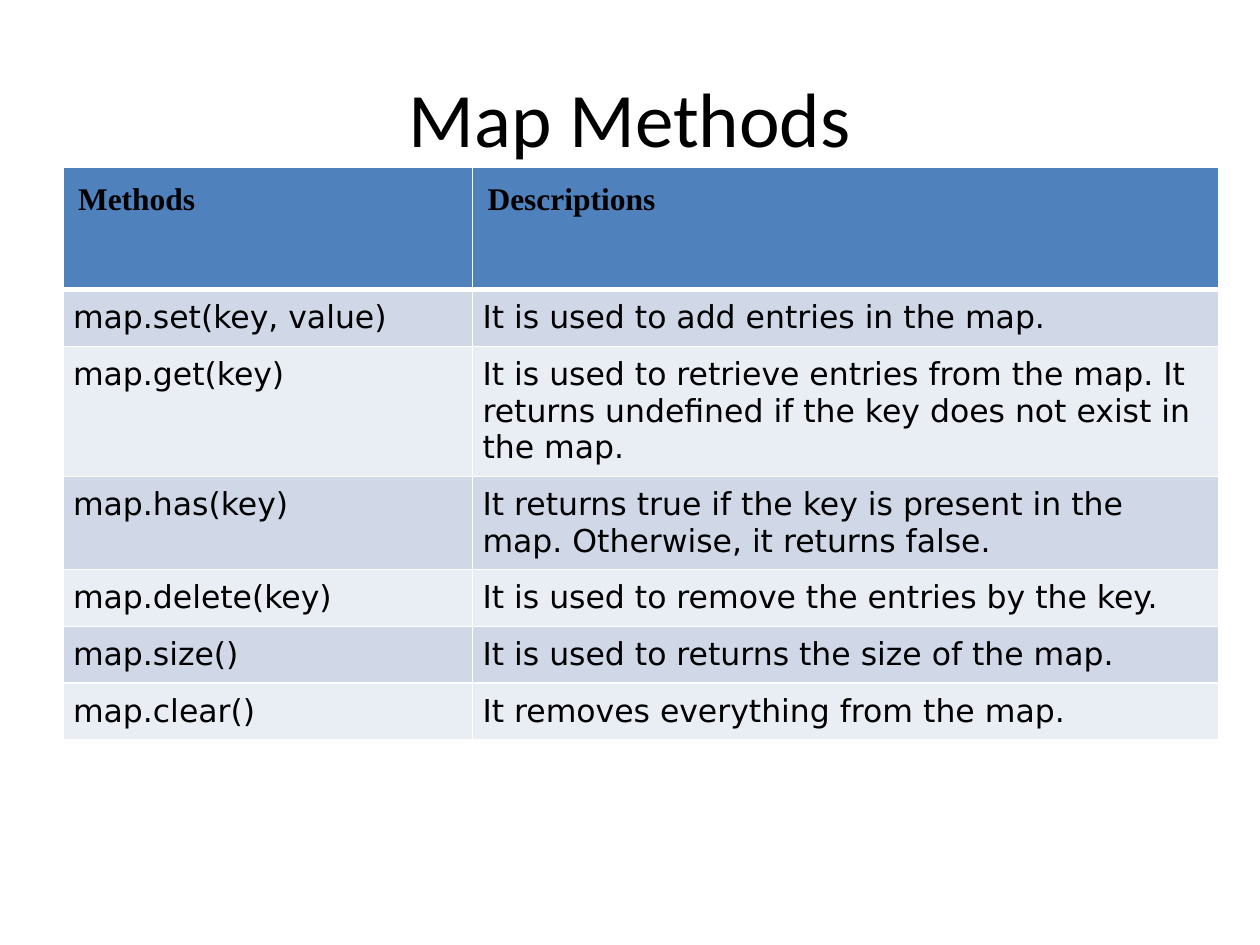
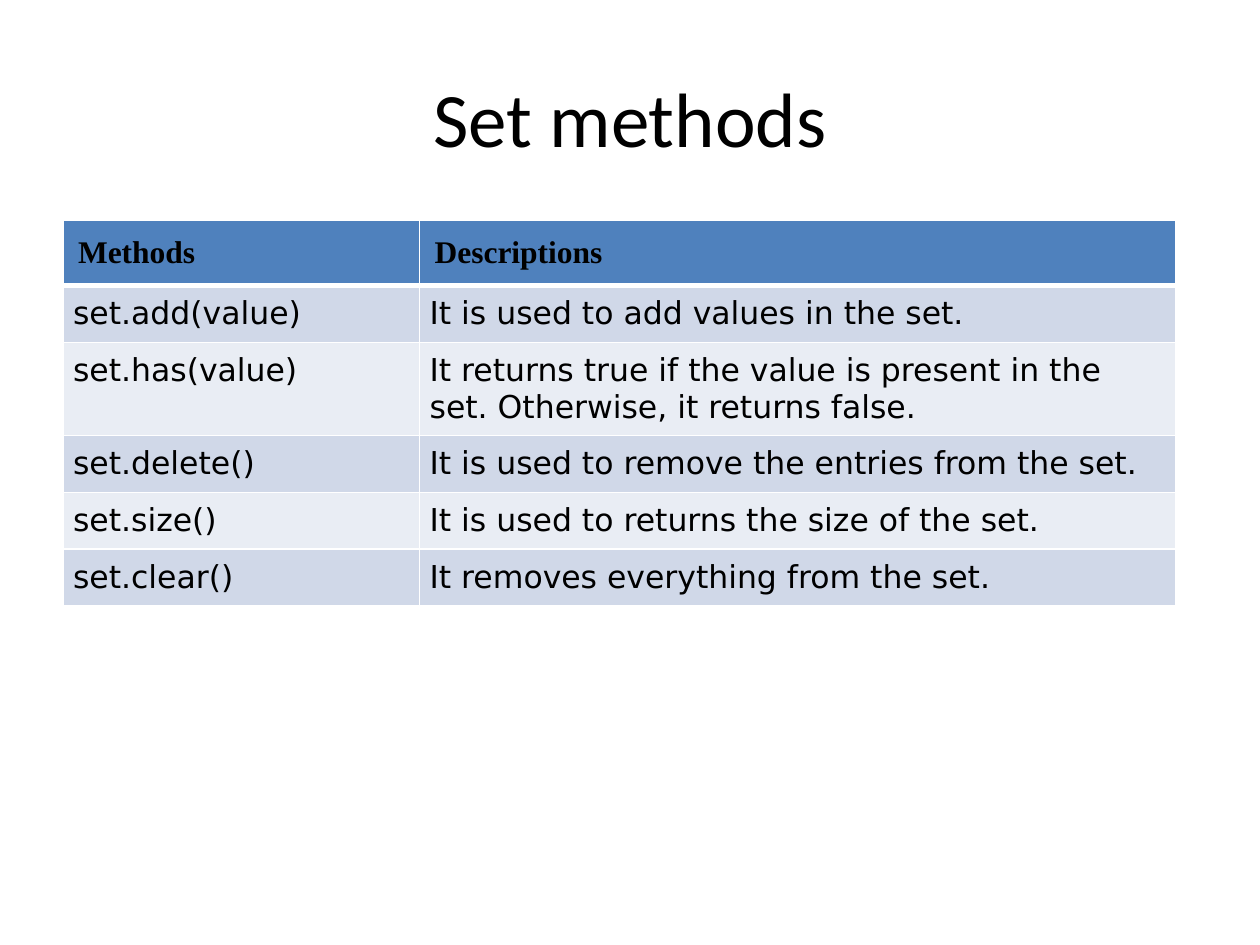
import pptx
import pptx.util
import pptx.dml.color
import pptx.enum.text
import pptx.oxml
import pptx.oxml.ns

Inches = pptx.util.Inches
Pt = pptx.util.Pt

COLORS = {"text": "000000", "header": "4F81BD", "band_odd": "D0D8E8",
          "band_even": "E9EDF4", "border": "FFFFFF"}
TITLE_BOX = (0.5, 0.3, 9, 1.25)
HEADINGS = ("Methods", "Descriptions")
ROW_HEIGHT = 0.41

MAP_METHODS = [
    ("map.set(key, value)", "It is used to add entries in the map."),
    ("map.get(key)", "It is used to retrieve entries from the map. It returns "
                     "undefined if the key does not exist in the map."),
    ("map.has(key)", "It returns true if the key is present in the map. "
                     "Otherwise, it returns false."),
    ("map.delete(key)", "It is used to remove the entries by the key."),
    ("map.size()", "It is used to returns the size of the map."),
    ("map.clear()", "It removes everything from the map."),
]
SET_METHODS = [
    ("set.add(value)", "It is used to add values in the set."),
    ("set.has(value)", "It returns true if the value is present in the set. "
                       "Otherwise, it returns false."),
    ("set.delete()", "It is used to remove the entries from the set."),
    ("set.size()", "It is used to returns the size of the set."),
    ("set.clear()", "It removes everything from the set."),
]


def rgb(name):
    return pptx.dml.color.RGBColor.from_string(COLORS[name])


def write_text(tf, text, font="DejaVu Sans", size=18, bold=False, align="LEFT"):
    tf.word_wrap = True
    p = tf.paragraphs[0]
    p.alignment = getattr(pptx.enum.text.PP_ALIGN, align)
    r = p.add_run()
    r.text = text
    r.font.name = font
    r.font.size = Pt(size)
    r.font.bold = bold
    r.font.color.rgb = rgb("text")


def add_borders(cell, **widths):
    """Draw the cell's edges; widths are points keyed by L, R, T and B."""
    tcPr = cell._tc.get_or_add_tcPr()
    for side in "LRTB":
        tcPr.append(pptx.oxml.parse_xml(
            f'<a:ln{side} {pptx.oxml.ns.nsdecls("a")} w="{Pt(widths.get(side, 1))}">'
            f'<a:solidFill><a:srgbClr val="{COLORS["border"]}"/></a:solidFill>'
            f'</a:ln{side}>'))


def format_cell(cell, text, row):
    is_header = row == 0
    # The rule under the header is thicker than the others
    add_borders(cell, B=3 if is_header else 1, T=3 if row == 1 else 1)
    band = "header" if is_header else "band_odd" if row % 2 else "band_even"
    cell.fill.solid()
    cell.fill.fore_color.rgb = rgb(band)
    margin = Inches(0.12 if is_header else 0.08)
    cell.margin_left = cell.margin_right = margin
    cell.margin_top = cell.margin_bottom = margin
    font = "Times New Roman" if is_header else "DejaVu Sans"
    write_text(cell.text_frame, text, font=font, bold=is_header)


def add_title(s, text, box):
    sp = s.shapes.title
    sp.left, sp.top, sp.width, sp.height = map(Inches, box)
    sp.text_frame.vertical_anchor = pptx.enum.text.MSO_ANCHOR.MIDDLE
    write_text(sp.text_frame, text, font="Calibri", size=44, align="CENTER")


def add_methods_table(s, methods, left, top, col_widths, header_height):
    rows = [HEADINGS] + methods
    heights = [header_height] + [ROW_HEIGHT] * len(methods)
    table = s.shapes.add_table(
        len(rows), len(HEADINGS), Inches(left), Inches(top),
        Inches(sum(col_widths)), Inches(sum(heights))).table
    for column, width in zip(table.columns, col_widths):
        column.width = Inches(width)
    for i, (texts, height) in enumerate(zip(rows, heights)):
        table.rows[i].height = Inches(height)
        for j, text in enumerate(texts):
            format_cell(table.cell(i, j), text, i)


def add_methods_slide(prs, title, methods, top, col_widths, header_height):
    s = prs.slides.add_slide(prs.slide_layouts.get_by_name("Title Only"))
    add_title(s, title, TITLE_BOX)
    add_methods_table(s, methods, TITLE_BOX[0], top, col_widths, header_height)


def main():
    prs = pptx.Presentation()
    prs.slide_width, prs.slide_height = Inches(10), Inches(7.5)
    add_methods_slide(prs, "Map Methods", MAP_METHODS, top=1.33,
                      col_widths=(3.25, 5.92), header_height=0.97)
    add_methods_slide(prs, "Set methods", SET_METHODS, top=1.75,
                      col_widths=(2.83, 6), header_height=ROW_HEIGHT)
    prs.save("out.pptx")


if __name__ == "__main__":
    main()
